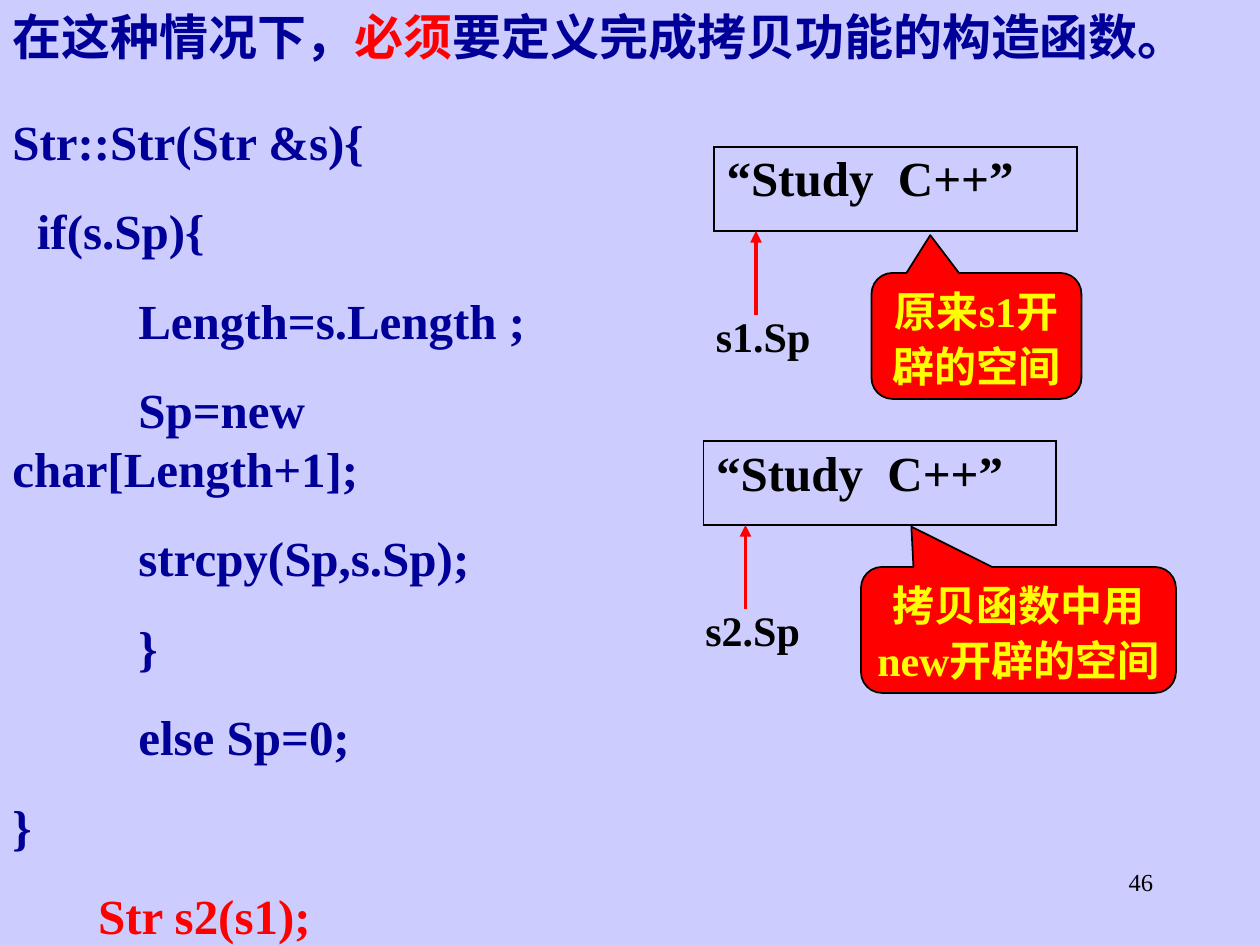
"""Builds a slide on writing a copy constructor for a string class."""
from dataclasses import dataclass

from lxml import etree
from pptx import Presentation
from pptx.dml.color import RGBColor
from pptx.enum.shapes import MSO_CONNECTOR, MSO_SHAPE
from pptx.enum.text import MSO_ANCHOR, MSO_AUTO_SIZE, PP_ALIGN
from pptx.oxml.ns import qn
from pptx.util import Pt

STRAIGHT = MSO_CONNECTOR.STRAIGHT
CALLOUT = MSO_SHAPE.ROUNDED_RECTANGULAR_CALLOUT
MIDDLE = MSO_ANCHOR.MIDDLE
GROW = MSO_AUTO_SIZE.SHAPE_TO_FIT_TEXT
LEFT, CENTER, RIGHT = PP_ALIGN.LEFT, PP_ALIGN.CENTER, PP_ALIGN.RIGHT


@dataclass(frozen=True)
class Theme:
    """Colours, font and type sizes."""
    font: str = "Times New Roman"
    background: str = "CCCCFF"
    code: str = "000099"
    accent: str = "FF0000"
    ink: str = "000000"
    note: str = "FFFF00"
    large: float = 28
    medium: float = 24
    small: float = 14


THEME = Theme()


@dataclass(frozen=True)
class Span:
    """A run of text in one colour."""
    text: str
    color: str = THEME.code
    size: float = THEME.large
    bold: bool = True


@dataclass(frozen=True)
class Line:
    """A paragraph with its spacing."""
    spans: tuple[Span, ...]
    before: float = 17.5
    indent: float = 0
    align: PP_ALIGN = LEFT
    spacing: float = 1


@dataclass(frozen=True)
class MemoryBlock:
    """A stored string with its pointer and callout."""
    left: float
    top: float
    width: float
    pointer: str
    note: str
    note_width: float
    tip: tuple[float, float]


TITLE = Line((
    Span("在这种情况下，"),
    Span("必须", THEME.accent),
    Span("要定义完成拷贝功能的构造函数。"),
))

CODE = (
    Line((Span("Str::Str(Str &s){"),)),
    Line((Span("if(s.Sp){"),), indent=14),
    Line((Span("Length=s.Length ;"),), indent=72),
    Line((Span("Sp=new char[Length+1];"),), indent=72),
    Line((Span("strcpy(Sp,s.Sp);"),), indent=72),
    Line((Span("}"),), indent=72),
    Line((Span("else Sp=0;"),), indent=72),
    Line((Span("}"),)),
    Line((Span("Str s2(s1);", THEME.accent),), indent=49),
)

BLOCKS = (
    MemoryBlock(408, 84, 207.5, "s1.Sp", "原来s1开辟的空间", 120, (-0.22, -0.8)),
    MemoryBlock(402, 252, 201.5, "s2.Sp", "拷贝函数中用new开辟的空间", 180, (-0.34, -0.82)),
)


def rgb(color: str) -> RGBColor:
    """Return a colour from its hex digits."""
    return RGBColor.from_string(color)


def write_lines(frame, lines: tuple[Line, ...]) -> None:
    """Fill a text frame run by run."""
    for index, line in enumerate(lines):
        para = frame.paragraphs[0] if index == 0 else frame.add_paragraph()
        para.alignment = line.align
        para.space_before = Pt(line.before)
        para.line_spacing = line.spacing
        properties = para._p.get_or_add_pPr()
        properties.set("marL", "0")
        properties.set("indent", str(Pt(line.indent)))
        for span in line.spans:
            run = para.add_run()
            run.text = span.text
            run.font.name = THEME.font
            run.font.size = Pt(span.size)
            run.font.bold = span.bold
            run.font.color.rgb = rgb(span.color)


def add_text(page, left: float, top: float, width: float, height: float,
             lines: tuple[Line, ...]) -> None:
    """Add a wrapping text box."""
    box = page.shapes.add_textbox(Pt(left), Pt(top), Pt(width), Pt(height))
    box.text_frame.word_wrap = True
    box.text_frame.auto_size = GROW
    write_lines(box.text_frame, lines)


def add_string_cell(page, left: float, top: float, width: float) -> None:
    """Add a bordered one-cell table holding the string."""
    table = page.shapes.add_table(1, 1, Pt(left), Pt(top), Pt(width), Pt(48)).table
    table.first_row = table.horz_banding = False
    cell = table.cell(0, 0)
    write_lines(cell.text_frame, (Line((Span("“Study  C++”", THEME.ink),), before=7),))
    properties = cell._tc.get_or_add_tcPr()
    for side in ("a:lnL", "a:lnR", "a:lnT", "a:lnB"):
        border = etree.SubElement(properties, qn(side), w=str(Pt(1.08)))
        fill = etree.SubElement(border, qn("a:solidFill"))
        etree.SubElement(fill, qn("a:srgbClr"), val=THEME.ink)
    cell.fill.background()


def add_arrow(page, x: float, start: float, end: float) -> None:
    """Add a vertical pointer arrow."""
    arrow = page.shapes.add_connector(STRAIGHT, Pt(x), Pt(start), Pt(x), Pt(end))
    arrow.line.color.rgb = rgb(THEME.accent)
    arrow.line.width = Pt(2.25)
    etree.SubElement(arrow.line._get_or_add_ln(), qn("a:tailEnd"), type="triangle")
    etree.SubElement(arrow._element.spPr, qn("a:effectLst"))


def add_callout(page, left: float, top: float, block: MemoryBlock) -> None:
    """Add the callout that explains a memory block."""
    box = page.shapes.add_shape(CALLOUT, Pt(left), Pt(top), Pt(block.note_width), Pt(72))
    box.shadow.inherit = False
    box.adjustments[0], box.adjustments[1] = block.tip
    box.fill.solid()
    box.fill.fore_color.rgb = rgb(THEME.accent)
    box.line.color.rgb = rgb(THEME.ink)
    box.line.width = Pt(1)
    frame = box.text_frame
    frame.word_wrap = True
    frame.vertical_anchor = MIDDLE
    frame.margin_left = frame.margin_right = Pt(1.5)
    frame.margin_top = frame.margin_bottom = Pt(0.7)
    span = Span(block.note, THEME.note, THEME.medium)
    write_lines(frame, (Line((span,), before=15, align=CENTER, spacing=1.1),))


def add_memory_block(page, block: MemoryBlock) -> None:
    """Draw a string, its pointer and its callout."""
    left, top = block.left, block.top
    add_string_cell(page, left, top, block.width)
    label = Span(block.pointer, THEME.ink, THEME.medium)
    add_text(page, left - 6, top + 90, 72, 36, (Line((label,), before=15),))
    add_arrow(page, left + 24, top + 96, top + 48)
    add_callout(page, left + 90, top + 72, block)


def main() -> None:
    """Build and save the deck."""
    deck = Presentation()
    deck.slide_width, deck.slide_height = Pt(720), Pt(540)
    page = deck.slides.add_slide(deck.slide_layouts[6])
    page.background.fill.solid()
    page.background.fill.fore_color.rgb = rgb(THEME.background)
    number = Span("46", THEME.ink, THEME.small, bold=False)
    add_text(page, 516, 492, 150, 36, (Line((number,), before=0, align=RIGHT),))
    add_text(page, 0, 0, 696, 41, (TITLE,))
    add_text(page, 0, 60, 384, 484, CODE)
    for block in BLOCKS:
        add_memory_block(page, block)
    deck.save("out.pptx")


if __name__ == "__main__":
    main()
